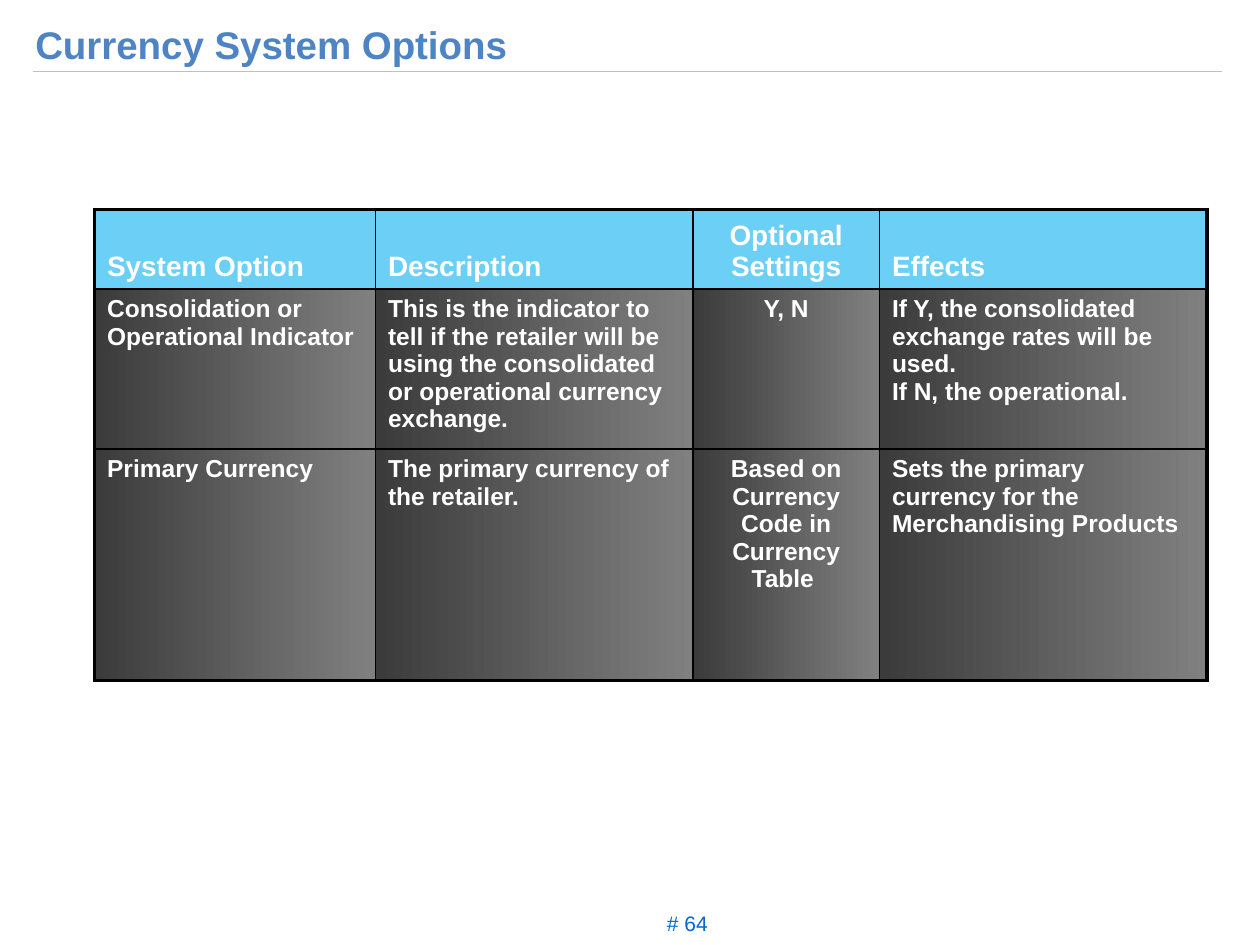
from dataclasses import dataclass

from lxml.etree import SubElement
from pptx import Presentation
from pptx.dml.color import RGBColor
from pptx.enum.shapes import MSO_CONNECTOR
from pptx.enum.text import MSO_ANCHOR, MSO_AUTO_SIZE, PP_ALIGN
from pptx.oxml.ns import qn
from pptx.util import Inches, Pt


@dataclass(frozen=True)
class Theme:
    font: str = "Arial"
    title_color: str = "4E84C4"
    rule_color: str = "C0C0C0"
    number_color: str = "0066CC"
    header_fill: str = "6CCFF6"
    body_fill: str = "808080"
    body_shade: int = 46275
    cell_text: str = "FFFFFF"
    border: str = "000000"
    title_size: int = 22
    header_size: int = 16
    body_size: int = 14
    number_size: int = 12
    outer_border: int = 2
    inner_border: int = 1


THEME = Theme()
COLUMN_WIDTHS = (2.23, 2.52, 1.48, 2.6)
ROW_HEIGHTS = (0.63, 1.27, 1.84)
CENTERED_COLUMN = 2
ROWS = (
    ("System Option", "Description", "Optional Settings", "Effects"),
    (
        "Consolidation or Operational Indicator",
        "This is the indicator to tell if the retailer will be using the "
        "consolidated or operational currency exchange.",
        "Y, N",
        "If Y, the consolidated exchange rates will be used.\nIf N, the operational.",
    ),
    (
        "Primary Currency",
        "The primary currency of the retailer.",
        "Based on Currency Code in Currency Table ",
        "Sets the primary currency for the Merchandising Products",
    ),
)


def write_text(frame, text, *, size, color, bold=False, align=PP_ALIGN.LEFT, spacing=None):
    frame.word_wrap = True
    frame.text = text
    for paragraph in frame.paragraphs:
        paragraph.alignment = align
        paragraph.line_spacing = spacing
        for run in paragraph.runs:
            run.font.name = THEME.font
            run.font.size = Pt(size)
            run.font.bold = bold
            run.font.color.rgb = RGBColor.from_string(color)


def add_title(slide, text):
    title = slide.shapes.title
    title.left, title.top = Inches(0.18), Inches(0.06)
    title.width, title.height = Inches(9.57), Inches(0.52)
    title.text_frame.vertical_anchor = MSO_ANCHOR.TOP
    write_text(title.text_frame, text, size=THEME.title_size,
               color=THEME.title_color, bold=True, spacing=1.15)
    title.text_frame.auto_size = MSO_AUTO_SIZE.SHAPE_TO_FIT_TEXT


def add_title_rule(slide):
    rule = slide.shapes.add_connector(
        MSO_CONNECTOR.STRAIGHT, Inches(0.26), Inches(0.57), Inches(9.7), Inches(0.57))
    rule.line.color.rgb = RGBColor.from_string(THEME.rule_color)
    rule.line.width = Pt(0.75)
    SubElement(rule.element.spPr, qn("a:effectLst"))


def add_page_number(slide, text):
    box = slide.shapes.add_textbox(Inches(5.08), Inches(7.17), Inches(0.75), Inches(0.3))
    write_text(box.text_frame, text, size=THEME.number_size,
               color=THEME.number_color, align=PP_ALIGN.CENTER, spacing=1.04)
    box.text_frame.auto_size = MSO_AUTO_SIZE.SHAPE_TO_FIT_TEXT


def add_color(parent, color):
    return SubElement(parent, qn("a:srgbClr"), val=color)


def set_borders(cell, outer_sides):
    properties = cell._tc.get_or_add_tcPr()
    for side, is_outer in outer_sides.items():
        width = THEME.outer_border if is_outer else THEME.inner_border
        line = SubElement(properties, qn(f"a:ln{side}"), w=str(Pt(width)))
        add_color(SubElement(line, qn("a:solidFill")), THEME.border)


def set_gradient(cell):
    gradient = SubElement(cell._tc.get_or_add_tcPr(), qn("a:gradFill"), rotWithShape="1")
    stops = SubElement(gradient, qn("a:gsLst"))
    dark = add_color(SubElement(stops, qn("a:gs"), pos="0"), THEME.body_fill)
    SubElement(dark, qn("a:gamma"))
    SubElement(dark, qn("a:shade"), val=str(THEME.body_shade))
    SubElement(dark, qn("a:invGamma"))
    add_color(SubElement(stops, qn("a:gs"), pos="100000"), THEME.body_fill)
    SubElement(gradient, qn("a:lin"), ang="0", scaled="1")


def format_cell(cell, text, row, column):
    is_header = row == 0
    write_text(cell.text_frame, text, color=THEME.cell_text, bold=True,
               size=THEME.header_size if is_header else THEME.body_size,
               align=PP_ALIGN.CENTER if column == CENTERED_COLUMN else PP_ALIGN.LEFT)
    cell.vertical_anchor = MSO_ANCHOR.BOTTOM if is_header else MSO_ANCHOR.TOP
    set_borders(cell, {
        "L": column == 0,
        "R": column == len(COLUMN_WIDTHS) - 1,
        "T": is_header,
        "B": row == len(ROW_HEIGHTS) - 1,
    })
    if is_header:
        cell.fill.solid()
        cell.fill.fore_color.rgb = RGBColor.from_string(THEME.header_fill)
    else:
        set_gradient(cell)


def add_options_table(slide):
    table = slide.shapes.add_table(
        len(ROW_HEIGHTS), len(COLUMN_WIDTHS), Inches(0.75), Inches(1.66),
        Inches(sum(COLUMN_WIDTHS)), Inches(sum(ROW_HEIGHTS))).table
    table.horz_banding = False
    for column, width in zip(table.columns, COLUMN_WIDTHS):
        column.width = Inches(width)
    for row, height in zip(table.rows, ROW_HEIGHTS):
        row.height = Inches(height)
    for row_index, texts in enumerate(ROWS):
        for column_index, text in enumerate(texts):
            format_cell(table.cell(row_index, column_index), text, row_index, column_index)


def main():
    presentation = Presentation()
    presentation.slide_width, presentation.slide_height = Inches(10), Inches(7.5)
    slide = presentation.slides.add_slide(presentation.slide_layouts[5])
    add_title_rule(slide)
    add_page_number(slide, "# 64")
    add_options_table(slide)
    add_title(slide, "Currency System Options")
    presentation.save("out.pptx")


if __name__ == "__main__":
    main()
